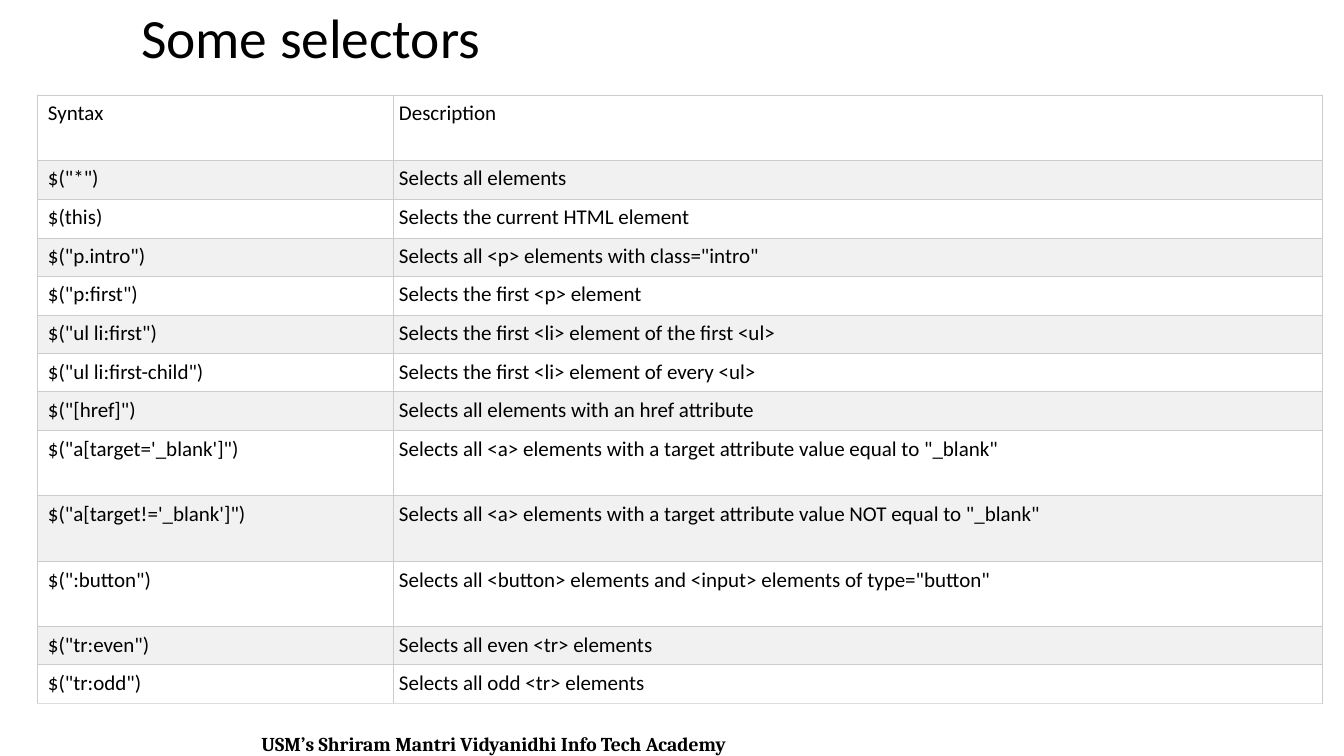
import itertools

import pptx
import pptx.dml.color
import pptx.enum.text
import pptx.oxml
import pptx.oxml.ns
import pptx.util

SCALE = 914400 / 100.8  # EMU in one px

BLACK = pptx.dml.color.RGBColor(0x00, 0x00, 0x00)
WHITE = pptx.dml.color.RGBColor(0xFF, 0xFF, 0xFF)
BAND = pptx.dml.color.RGBColor(0xF1, 0xF1, 0xF1)
RULE = pptx.dml.color.RGBColor(0xCC, 0xCC, 0xCC)
BASE = pptx.dml.color.RGBColor(0xDD, 0xDD, 0xDD)

ROWS = [
    ('Syntax', 'Description'),
    ('$("*")', 'Selects all elements'),
    ('$(this)', 'Selects the current HTML element'),
    ('$("p.intro")', 'Selects all <p> elements with class="intro"'),
    ('$("p:first")', 'Selects the first <p> element'),
    ('$("ul li:first")', 'Selects the first <li> element of the first <ul>'),
    ('$("ul li:first-child")', 'Selects the first <li> element of every <ul>'),
    ('$("[href]")', 'Selects all elements with an href attribute'),
    ('$("a[target=\'_blank\']")',
     'Selects all <a> elements with a target attribute value equal to "_blank"'),
    ('$("a[target!=\'_blank\']")',
     'Selects all <a> elements with a target attribute value NOT equal to "_blank"'),
    ('$(":button")',
     'Selects all <button> elements and <input> elements of type="button"'),
    ('$("tr:even")', 'Selects all even <tr> elements'),
    ('$("tr:odd")', 'Selects all odd <tr> elements'),
]

# Edges of the table's columns and rows, in px
COLS = [37, 393, 1322]
LINES = [95, 160, 199, 238, 276, 315, 354, 392, 431, 496, 562, 627, 665, 704]


def px(size):
    return pptx.util.Emu(round(size * SCALE))


def style(para, size, face, bold=False):
    para.font.size = pptx.util.Pt(size)
    para.font.name = face
    para.font.bold = bold
    para.font.color.rgb = BLACK


def border(cell, side, color):
    line = pptx.oxml.parse_xml(
        f'<a:{side} {pptx.oxml.ns.nsdecls("a")} w="7620"><a:solidFill>'
        f'<a:srgbClr val="{color}"/></a:solidFill></a:{side}>')
    cell._tc.get_or_add_tcPr().append(line)


def fill_cell(cell, text, left, shade, base):
    cell.text = text
    style(cell.text_frame.paragraphs[0], 15, "Calibri")
    cell.margin_left = px(left)
    cell.margin_right = cell.margin_top = cell.margin_bottom = px(6)
    # Borders come before the fill in the cell's XML
    for side, color in zip(("lnL", "lnR", "lnT", "lnB"), (RULE, RULE, RULE, base)):
        border(cell, side, color)
    cell.fill.solid()
    cell.fill.fore_color.rgb = shade


def add_title(slide, text):
    title = slide.shapes.title
    title.left, title.top, title.width, title.height = map(px, (131, 5, 1100, 71))
    frame = title.text_frame
    frame.text = text
    frame.auto_size = pptx.enum.text.MSO_AUTO_SIZE.NONE
    frame.vertical_anchor = pptx.enum.text.MSO_ANCHOR.MIDDLE
    para = frame.paragraphs[0]
    para.alignment = pptx.enum.text.PP_ALIGN.LEFT
    para.line_spacing = 0.9
    style(para, 39.6, "Calibri")


def add_grid(slide):
    shape = slide.shapes.add_table(
        len(ROWS), 2, px(COLS[0]), px(LINES[0]),
        px(COLS[-1] - COLS[0]), px(LINES[-1] - LINES[0]))
    table = shape.table
    for col, (start, end) in zip(table.columns, itertools.pairwise(COLS)):
        col.width = px(end - start)
    for row, (start, end) in zip(table.rows, itertools.pairwise(LINES)):
        row.height = px(end - start)
    for r, texts in enumerate(ROWS):
        shade = BAND if r % 2 else WHITE
        base = BASE if r == len(ROWS) - 1 else RULE
        for c, text in enumerate(texts):
            fill_cell(table.cell(r, c), text, (11, 6)[c], shade, base)


def add_foot(slide, text):
    box = slide.shapes.add_textbox(*map(px, (25, 727, 938, 34)))
    frame = box.text_frame
    frame.word_wrap = True
    frame.auto_size = pptx.enum.text.MSO_AUTO_SIZE.SHAPE_TO_FIT_TEXT
    frame.text = text
    para = frame.paragraphs[0]
    para.alignment = pptx.enum.text.PP_ALIGN.CENTER
    style(para, 14, "Cambria", bold=True)


def main():
    deck = pptx.Presentation()
    deck.slide_width, deck.slide_height = px(1344), px(756)
    slide = deck.slides.add_slide(deck.slide_layouts[5])
    add_foot(slide, "USM’s Shriram Mantri Vidyanidhi Info Tech Academy")
    add_title(slide, "Some selectors")
    add_grid(slide)
    deck.save("out.pptx")


if __name__ == "__main__":
    main()
